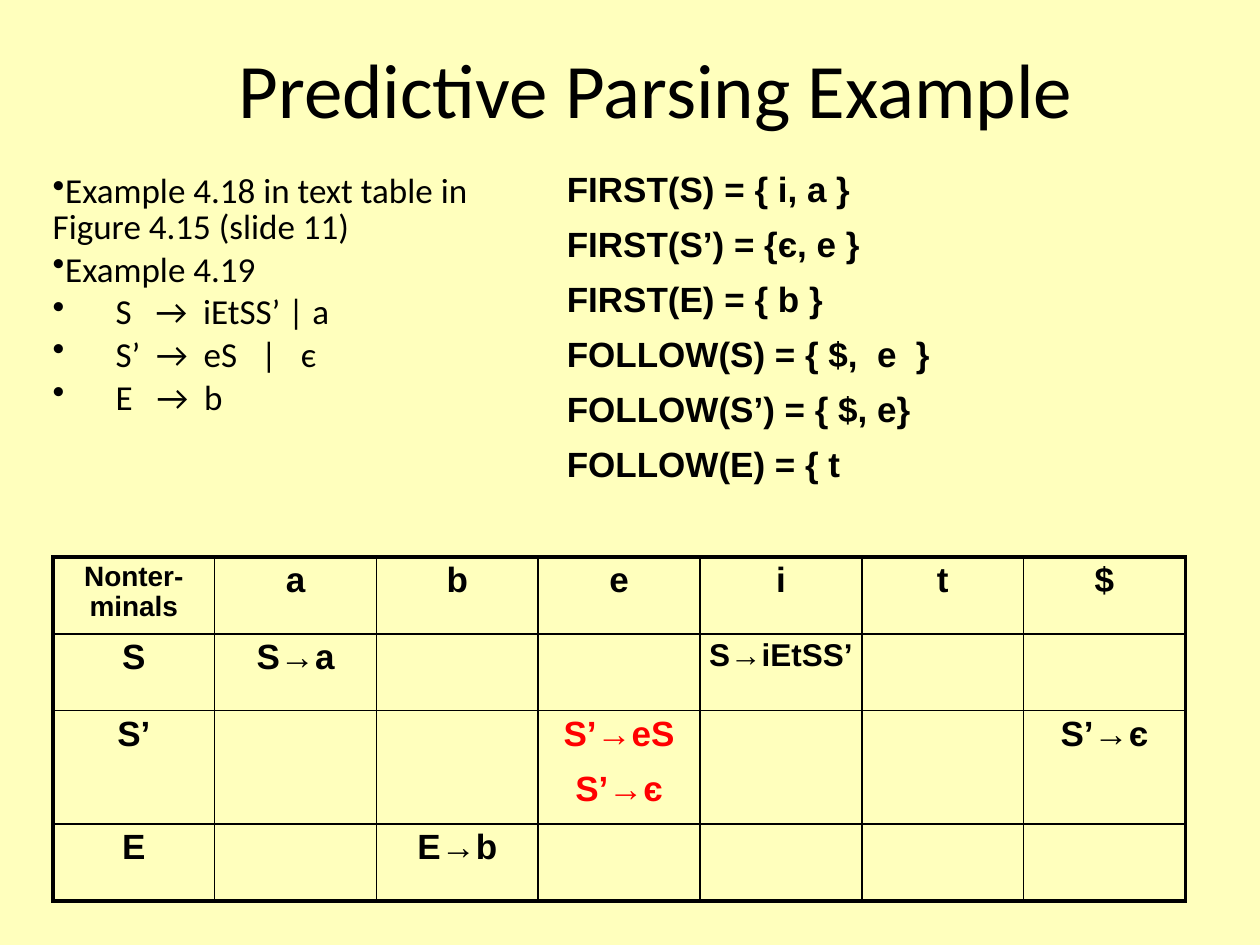
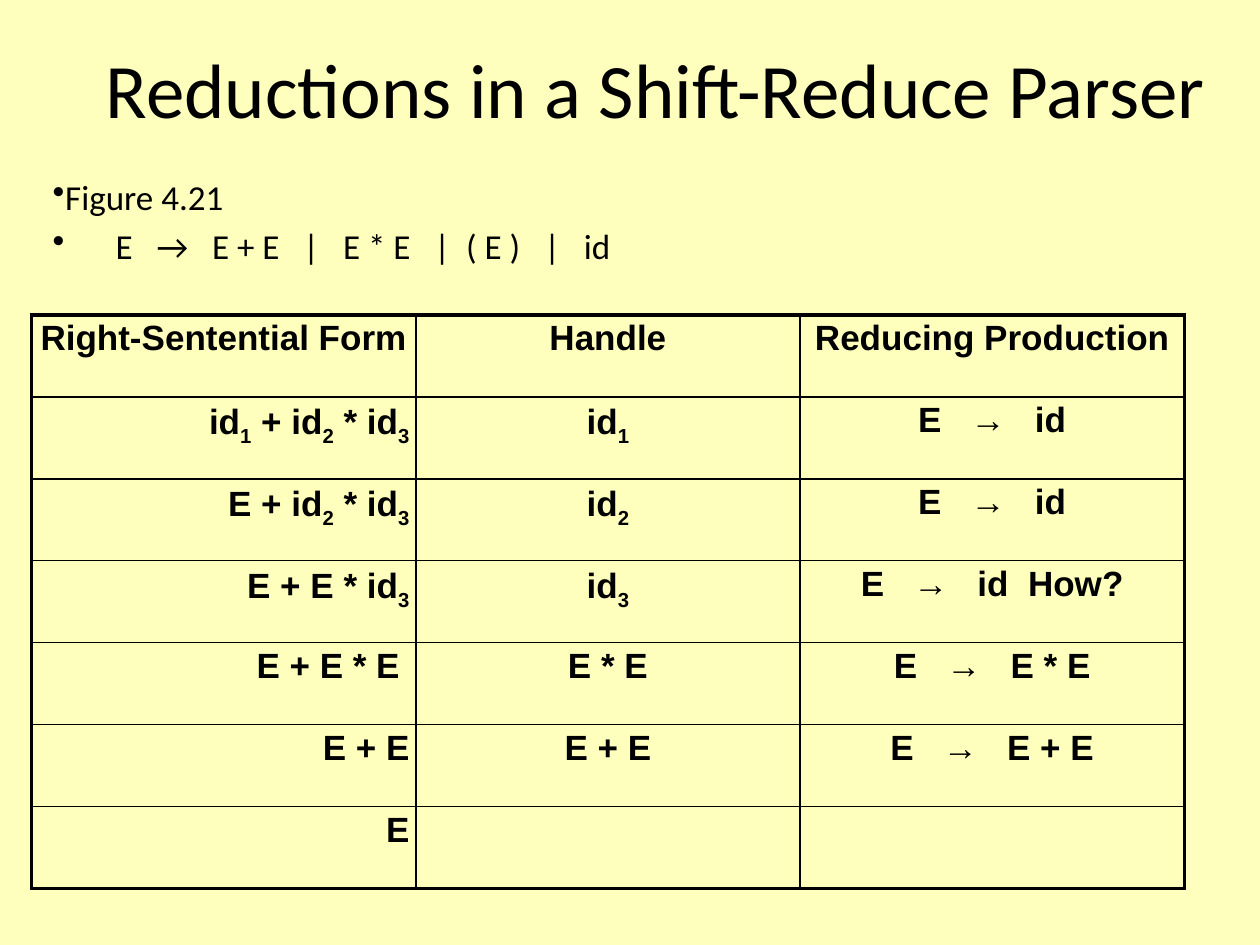
from lxml import etree
from pptx import Presentation
from pptx.dml.color import RGBColor
from pptx.enum.text import MSO_ANCHOR, PP_ALIGN
from pptx.oxml.ns import qn
from pptx.util import Inches, Pt

LEFT, CENTER, RIGHT = PP_ALIGN.LEFT, PP_ALIGN.CENTER, PP_ALIGN.RIGHT
MIDDLE, TOP = MSO_ANCHOR.MIDDLE, MSO_ANCHOR.TOP

COLORS = {"background": "FFFFBD", "text": "000000", "conflict": "FF0000"}
HEADING_FONT, TABLE_FONT = "Calibri", "Arial"
TEXT_SIZE = 20
OUTER_LINE, INNER_LINE = 2.25, 1
CELL_INSET = 0.05

# Parsing table: row heading first, then one cell per terminal
PARSING_ROWS = [
    ["Nonter-minals", "a", "b", "e", "i", "t", "$"],
    ["S", "S→a", "", "", "S→iEtSS’", "", ""],
    ["S’", "", "", "S’→eS\nS’→є", "", "", "S’→є"],
    ["E", "", "E→b", "", "", "", ""],
]
PARSING_SIZES = {(0, 0): 16, (1, 4): 18}
PARSING_COLORS = {(2, 3): "conflict"}

# Reductions: an underscore puts the next character in subscript
REDUCTION_ROWS = [
    ["Right-Sentential Form", "Handle", "Reducing Production"],
    ["id_1 + id_2 * id_3", "id_1", "E   →   id"],
    ["E + id_2 * id_3", "id_2", "E   →   id"],
    ["E + E * id_3", "id_3", "E   →   id  How?"],
    ["E + E * E ", "E * E", "E   →   E * E"],
    ["E + E", "E + E", "E   →   E + E"],
    ["E", "", ""],
]


def add_spans(paragraph, text):
    """Write text, with each character after an underscore in subscript."""
    first, *others = text.split("_")
    paragraph.add_run().text = first
    for piece in others:
        span = paragraph.add_run()
        span.text = piece[0]
        span._r.get_or_add_rPr().set("baseline", "-25000")
        if piece[1:]:
            paragraph.add_run().text = piece[1:]


def write_lines(frame, lines, font, size=TEXT_SIZE, color="text", bold=False,
                align=LEFT, spacing=1.0, before=0, bullet=False):
    for index, line in enumerate(lines):
        paragraph = frame.paragraphs[0] if index == 0 else frame.add_paragraph()
        paragraph.alignment = align
        paragraph.line_spacing = spacing
        paragraph.space_before = Pt(before)
        paragraph.font.name = font
        paragraph.font.size = Pt(size)
        paragraph.font.bold = bold
        paragraph.font.color.rgb = RGBColor.from_string(COLORS[color])
        if bullet:
            properties = paragraph._p.get_or_add_pPr()
            mark = etree.Element(qn("a:buChar"), char="•")
            properties.find(qn("a:defRPr")).addprevious(mark)
        add_spans(paragraph, line)


def add_text(page, left, top, width, height, lines, font, anchor=TOP, **style):
    box = page.shapes.add_textbox(Inches(left), Inches(top),
                                  Inches(width), Inches(height))
    frame = box.text_frame
    frame.word_wrap = True
    frame.vertical_anchor = anchor
    write_lines(frame, lines, font, **style)


def add_page(deck, title):
    """Start a page with the shared background and title."""
    page = deck.slides.add_slide(deck.slide_layouts[6])
    fill = page.background.fill
    fill.solid()
    fill.fore_color.rgb = RGBColor.from_string(COLORS["background"])
    add_text(page, 0.44, 0.27, 9.53, 0.85, [title], HEADING_FONT,
             anchor=MIDDLE, size=44, align=CENTER)
    return page


def add_bullets(page, width, height, lines, spacing, before=4):
    add_text(page, 0.32, 1.34, width, height, lines, HEADING_FONT,
             spacing=spacing, before=before, bullet=True)


def set_borders(cell, outer_sides):
    """Draw thick lines on the table's edge and thin ones inside it."""
    properties = cell._tc.get_or_add_tcPr()
    for side in "LRTB":
        width = OUTER_LINE if side in outer_sides else INNER_LINE
        line = etree.SubElement(properties, qn(f"a:ln{side}"), w=str(Pt(width)))
        fill = etree.SubElement(line, qn("a:solidFill"))
        etree.SubElement(fill, qn("a:srgbClr"), val=COLORS["text"])


def add_grid(page, left, top, column_width, row_heights, rows,
             sizes=None, colors=None, aligns=None):
    """Add a table; sizes, colors and aligns hold exceptions by (row, column)."""
    sizes, colors, aligns = sizes or {}, colors or {}, aligns or {}
    last_row, last_column = len(rows) - 1, len(rows[0]) - 1
    table = page.shapes.add_table(
        len(rows), len(rows[0]), Inches(left), Inches(top),
        Inches(column_width * len(rows[0])), Inches(sum(row_heights))).table
    table.first_row = table.horz_banding = False
    for column in table.columns:
        column.width = Inches(column_width)
    for r, texts in enumerate(rows):
        table.rows[r].height = Inches(row_heights[r])
        for c, text in enumerate(texts):
            cell = table.cell(r, c)
            cell.margin_left = cell.margin_right = Inches(CELL_INSET)
            cell.margin_top = cell.margin_bottom = Inches(CELL_INSET)
            edges = {"L": c == 0, "R": c == last_column,
                     "T": r == 0, "B": r == last_row}
            set_borders(cell, [side for side in edges if edges[side]])
            cell.fill.background()
            if text:
                size = sizes.get((r, c), TEXT_SIZE)
                write_lines(cell.text_frame, text.split("\n"), TABLE_FONT,
                            size=size, color=colors.get((r, c), "text"),
                            bold=True, align=aligns.get((r, c), CENTER),
                            spacing=0.95, before=size / 2)


def build_predictive_parsing(deck):
    page = add_page(deck, "Predictive Parsing Example")
    # Grammar
    add_bullets(page, 4.02, 2.5, [
        "Example 4.18 in text table in Figure 4.15 (slide 11)",
        "Example 4.19",
        "\tS   →  iEtSS’ | a",
        "\tS’  →  eS   |   є",
        "\tE   →  b",
    ], spacing=0.85)
    # Parsing table
    add_grid(page, 0.42, 4.42, 1.284, [0.61, 0.61, 0.9, 0.61], PARSING_ROWS,
             sizes=PARSING_SIZES, colors=PARSING_COLORS)
    # FIRST and FOLLOW sets
    add_text(page, 4.4, 1.33, 5.43, 3, [
        "FIRST(S) = { i, a }",
        "FIRST(S’) = {є, e } ",
        "FIRST(E) = { b }",
        "FOLLOW(S) = { $,  e  } ",
        "FOLLOW(S’) = { $, e}",
        "FOLLOW(E) = { t ",
    ], TABLE_FONT, bold=True, spacing=0.85, before=11)


def build_reductions(deck):
    page = add_page(deck, "Reductions in a Shift-Reduce Parser")
    # Grammar
    add_bullets(page, 8.52, 0.91, [
        "Figure 4.21",
        "\tE   →   E + E   |   E * E   |  ( E )   |   id",
    ], spacing=1.0)
    # Reduction steps, with the sentential forms set to the right
    right_cells = {(r, 0): RIGHT for r in range(1, len(REDUCTION_ROWS))}
    add_grid(page, 0.25, 2.5, 3.05, [0.65] * len(REDUCTION_ROWS),
             REDUCTION_ROWS, aligns=right_cells)


def main():
    deck = Presentation()
    deck.slide_width, deck.slide_height = Inches(10), Inches(7.5)
    build_predictive_parsing(deck)
    build_reductions(deck)
    deck.save("out.pptx")


main()
